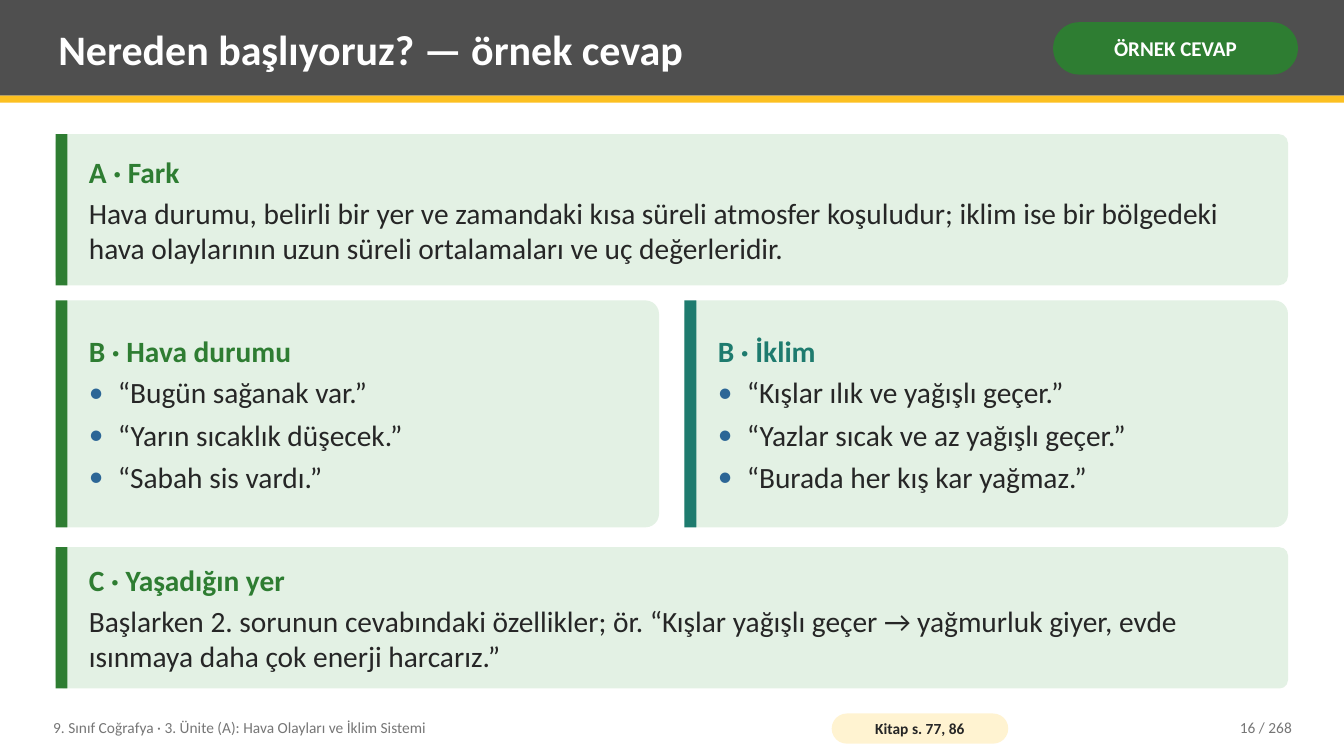
from lxml import etree
from pptx import Presentation
from pptx.dml.color import RGBColor
from pptx.enum.shapes import MSO_SHAPE
from pptx.enum.text import MSO_ANCHOR, MSO_AUTO_SIZE, PP_ALIGN
from pptx.oxml.ns import qn
from pptx.util import Cm, Pt

RECT, ROUND = MSO_SHAPE.RECTANGLE, MSO_SHAPE.ROUNDED_RECTANGLE
MIDDLE, NO_FIT = MSO_ANCHOR.MIDDLE, MSO_AUTO_SIZE.NONE
LEFT, CENTER, RIGHT = PP_ALIGN.LEFT, PP_ALIGN.CENTER, PP_ALIGN.RIGHT

FONT = "Calibri"
GREEN, TEAL, PALE, BLUE = "2E7D32", "1E7B6E", "E3F1E4", "2C6696"
DARK, GRAY, BAND = "262626", "767676", "4F4F4F"
YELLOW, CREAM, WHITE = "FCC021", "FFF3D1", "FFFFFF"

WIDTH, HEIGHT = 33.87, 19.05
MARGIN, GUTTER = 1.4, 0.64
CONTENT_W = 31.06
HALF_W = (CONTENT_W - GUTTER) / 2


def rgb(value):
    """Turn a hex string into a colour."""
    return RGBColor.from_string(value)


def add_block(s, kind, x, y, w, h, fill, adj=None):
    """Add a plain filled shape without line or shadow."""
    sp = s.shapes.add_shape(kind, Cm(x), Cm(y), Cm(w), Cm(h))
    sp.shadow.inherit = False
    sp.fill.solid()
    sp.fill.fore_color.rgb = rgb(fill)
    sp.line.fill.background()
    if adj is not None:
        sp.adjustments[0] = adj
    return sp


def add_bullet(p, color):
    """Give a paragraph a hanging round bullet."""
    pPr = p._p.get_or_add_pPr()
    pPr.set("marL", str(Cm(0.73)))
    pPr.set("indent", str(Cm(-0.73)))
    clr = etree.SubElement(pPr, qn("a:buClr"))
    etree.SubElement(clr, qn("a:srgbClr"), val=color)
    etree.SubElement(pPr, qn("a:buFont"), typeface=FONT)
    etree.SubElement(pPr, qn("a:buChar"), char="•")


def write(tf, text, size=21, color=DARK, bold=False, align=LEFT, after=0,
          bullet=None, new=False):
    """Write one formatted paragraph into a text frame."""
    p = tf.add_paragraph() if new else tf.paragraphs[0]
    if bullet:
        add_bullet(p, bullet)
    p.alignment = align
    p.space_after = Pt(after)
    r = p.add_run()
    r.text = text
    r.font.name, r.font.size, r.font.bold = FONT, Pt(size), bold
    r.font.color.rgb = rgb(color)


def set_frame(sp, side=0.2, edge=0.1):
    """Set margins, wrapping and anchor, and return the text frame."""
    tf = sp.text_frame
    tf.auto_size, tf.word_wrap, tf.vertical_anchor = NO_FIT, True, MIDDLE
    tf.margin_left = tf.margin_right = Cm(side)
    tf.margin_top = tf.margin_bottom = Cm(edge)
    return tf


def add_text(s, x, y, w, h):
    """Add an empty text box and return its frame."""
    return set_frame(s.shapes.add_textbox(Cm(x), Cm(y), Cm(w), Cm(h)))


def add_pill(s, x, y, w, h, text, fill, color, size):
    """Add a label with fully rounded ends."""
    sp = add_block(s, ROUND, x, y, w, h, fill, 0.5)
    write(set_frame(sp, 0.1, 0), text, size, color, True, CENTER)


def add_header(s, w, h, title, label):
    """Draw the title band, its stripe and the label."""
    add_block(s, RECT, 0, 0, w, h, BAND)
    stripe = add_block(s, RECT, 0, h, w, 0.18, YELLOW)
    sp = s.shapes.title
    stripe._element.addnext(sp._element)
    sp.left, sp.top, sp.width, sp.height = Cm(1.27), Cm(0.18), Cm(24.77), Cm(h - 0.33)
    write(set_frame(sp), title, 30, WHITE, True)
    add_pill(s, w - 7.33, 0.56, 6.17, 1.32, label, GREEN, WHITE, 15)


def add_card(s, x, y, w, h, heading, lines, accent=GREEN, bullet=None):
    """Draw a card with an accent bar, a heading and its lines."""
    add_block(s, ROUND, x, y, w, h, PALE, 0.06)
    add_block(s, RECT, x, y, 0.3, h, accent)
    tf = add_text(s, x + 0.64, y + 0.15, w - 0.89, h - 0.3)
    write(tf, heading, color=accent, bold=True, after=4)
    for i, line in enumerate(lines, 1):
        write(tf, line, after=5 if i < len(lines) else 0, bullet=bullet, new=True)


def add_footer(s, y, h, course, source, number):
    """Write the course, source label and page number."""
    write(add_text(s, 1.14, y, 19.3, h), course, 11, GRAY)
    add_pill(s, 20.96, y + 0.1, 4.45, 0.76, source, CREAM, DARK, 11)
    write(add_text(s, 28.7, y, 4.06, h), number, 11, GRAY, align=RIGHT)


def main():
    """Build and save the slide."""
    prs = Presentation()
    prs.slide_width, prs.slide_height = Cm(WIDTH), Cm(HEIGHT)
    s = prs.slides.add_slide(prs.slide_layouts[5])
    add_header(s, WIDTH, 2.41, "Nereden başlıyoruz? — örnek cevap", "ÖRNEK CEVAP")
    add_card(s, MARGIN, 3.38, CONTENT_W, 3.81, "A · Fark", [
        "Hava durumu, belirli bir yer ve zamandaki kısa süreli atmosfer koşuludur; "
        "iklim ise bir bölgedeki hava olaylarının uzun süreli ortalamaları ve uç "
        "değerleridir."])
    columns = [
        ("B · Hava durumu", GREEN, ["“Bugün sağanak var.”",
                                    "“Yarın sıcaklık düşecek.”",
                                    "“Sabah sis vardı.”"]),
        ("B · İklim", TEAL, ["“Kışlar ılık ve yağışlı geçer.”",
                             "“Yazlar sıcak ve az yağışlı geçer.”",
                             "“Burada her kış kar yağmaz.”"]),
    ]
    for i, (heading, accent, lines) in enumerate(columns):
        add_card(s, MARGIN + i * (HALF_W + GUTTER), 7.57, HALF_W, 5.72,
                 heading, lines, accent, BLUE)
    add_card(s, MARGIN, 13.79, CONTENT_W, 3.56, "C · Yaşadığın yer", [
        "Başlarken 2. sorunun cevabındaki özellikler; ör. “Kışlar yağışlı geçer → "
        "yağmurluk giyer, evde ısınmaya daha çok enerji harcarız.”"])
    add_footer(s, 17.88, 0.91,
               "9. Sınıf Coğrafya · 3. Ünite (A): Hava Olayları ve İklim Sistemi",
               "Kitap s. 77, 86", "16 / 268")
    prs.save("out.pptx")


if __name__ == "__main__":
    main()
